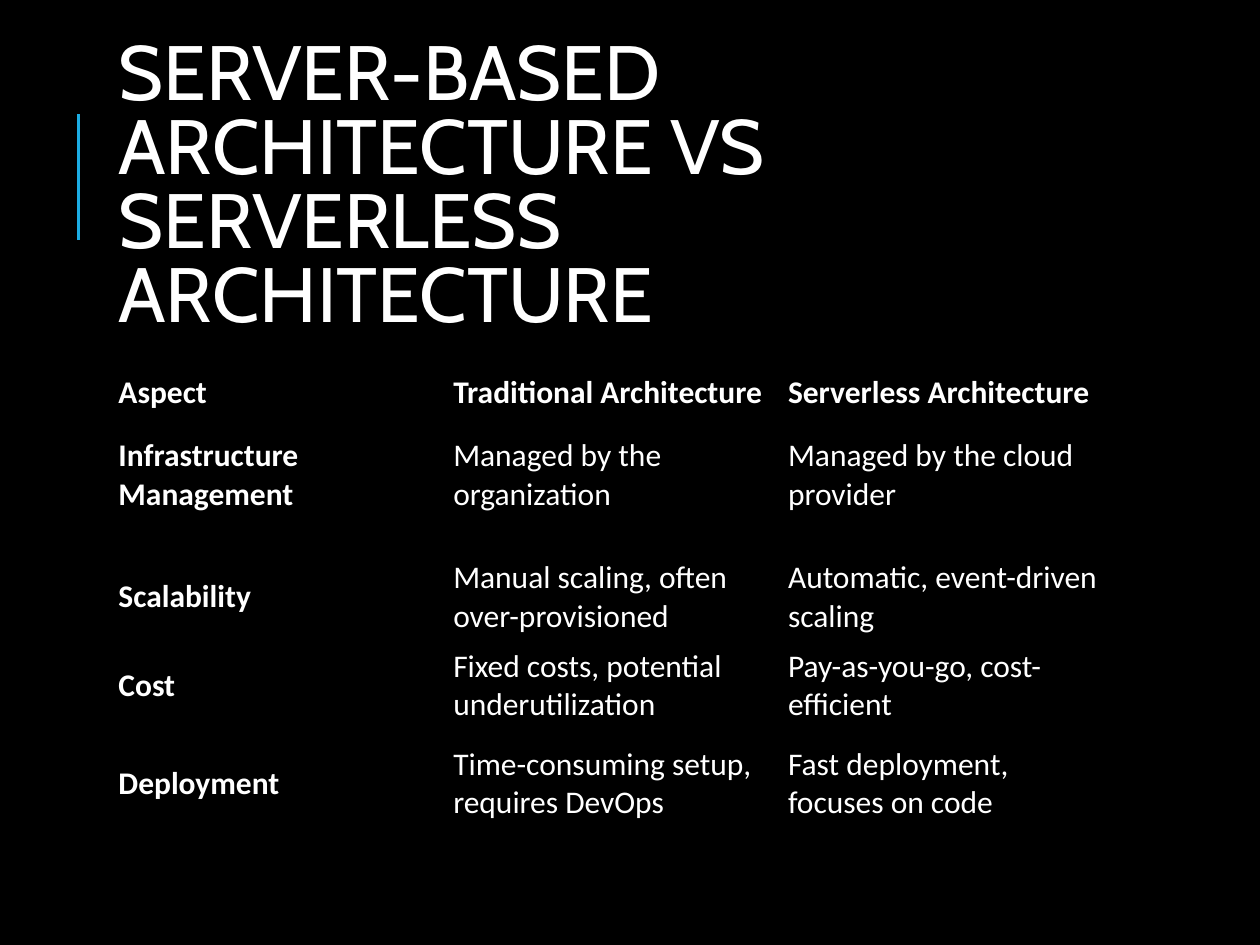
from lxml.etree import SubElement
from pptx import Presentation
from pptx.dml.color import RGBColor
from pptx.enum.shapes import MSO_CONNECTOR
from pptx.enum.text import MSO_ANCHOR, MSO_AUTO_SIZE, PP_ALIGN
from pptx.oxml.ns import qn
from pptx.util import Pt

TITLE = "SERVER-BASED ARCHITECTURE VS SERVERLESS ARCHITECTURE"
ROWS = [
    (196.5, 56, ("Aspect", "Traditional Architecture", "Serverless Architecture")),
    (243.5, 56, ("Infrastructure Management", "Managed by the organization",
                 "Managed by the cloud provider")),
    (301, 80.5, ("Scalability", "Manual scaling, often over-provisioned",
                 "Automatic, event-driven scaling")),
    (351.5, 80.5, ("Cost", "Fixed costs, potential underutilization",
                   "Pay-as-you-go, cost-efficient")),
    (407.5, 80.5, ("Deployment", "Time-consuming setup, requires DevOps",
                   "Fast deployment, focuses on code")),
]
COLORS = {"background": "000000", "text": "FFFFFF", "accent": "1CADE4"}
LEFT, WIDTH = 60.5, 574
NO_GRID_STYLE = "{2D5ABB26-0587-4C30-8999-92F81FD0307C}"


def color(name):
    return RGBColor.from_string(COLORS[name])


def write_text(frame, text, font="Calibri", size=18, bold=False, spacing=1.0):
    frame.word_wrap = True
    paragraph = frame.paragraphs[0]
    paragraph.alignment = PP_ALIGN.LEFT
    paragraph.line_spacing = spacing
    run = paragraph.add_run()
    run.text = text
    run.font.name = font
    run.font.size = Pt(size)
    run.font.bold = bold
    run.font.color.rgb = color("text")


def add_title(slide):
    title = slide.shapes.title
    title.left, title.top = Pt(LEFT), Pt(49)
    title.width, title.height = Pt(WIDTH), Pt(118)
    frame = title.text_frame
    frame.auto_size = MSO_AUTO_SIZE.NONE
    frame.vertical_anchor = MSO_ANCHOR.MIDDLE
    write_text(frame, TITLE, font="Cabin", size=44, spacing=0.8)


def add_accent_line(slide):
    line = slide.shapes.add_connector(
        MSO_CONNECTOR.STRAIGHT, Pt(45), Pt(137), Pt(45), Pt(65))
    line.line.color.rgb = color("accent")
    line.line.width = Pt(1.5)
    SubElement(line._element.spPr, qn("a:effectLst"))


def add_table_row(slide, top, height, texts, header):
    table = slide.shapes.add_table(
        1, len(texts), Pt(LEFT), Pt(top), Pt(WIDTH), Pt(height)).table
    table.first_row = table.horz_banding = False
    table._tbl.tblPr.find(qn("a:tableStyleId")).text = NO_GRID_STYLE
    for column, text in enumerate(texts):
        cell = table.cell(0, column)
        cell.fill.background()
        cell.vertical_anchor = MSO_ANCHOR.MIDDLE
        write_text(cell.text_frame, text, bold=header or column == 0)


def main():
    presentation = Presentation()
    presentation.slide_width, presentation.slide_height = Pt(720), Pt(540)
    slide = presentation.slides.add_slide(presentation.slide_layouts[5])
    slide.background.fill.solid()
    slide.background.fill.fore_color.rgb = color("background")
    add_accent_line(slide)
    for index, (top, height, texts) in enumerate(ROWS):
        add_table_row(slide, top, height, texts, header=index == 0)
    add_title(slide)
    presentation.save("out.pptx")


if __name__ == "__main__":
    main()
